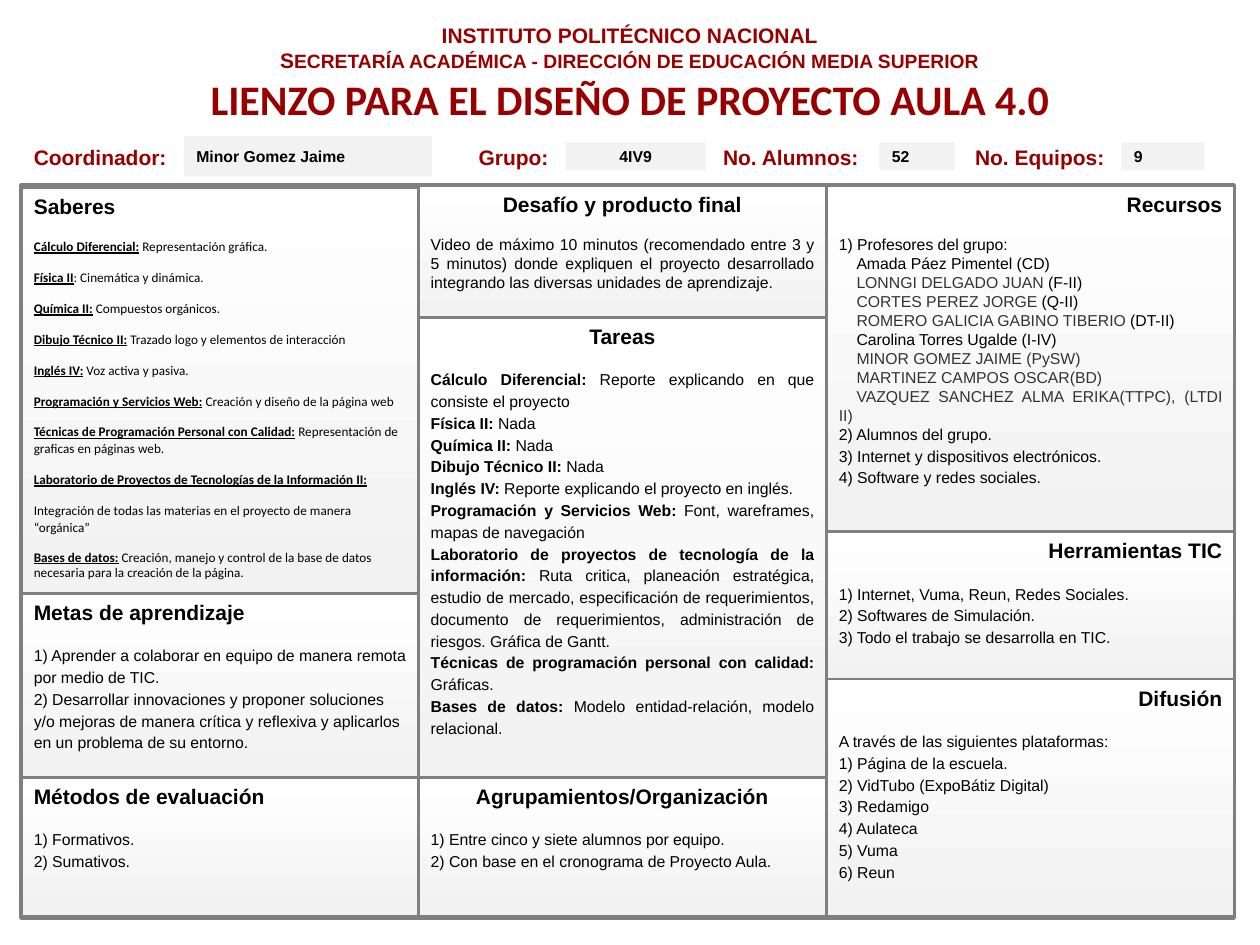
from dataclasses import dataclass
from itertools import pairwise

from pptx import Presentation
from pptx.dml.color import RGBColor
from pptx.enum import shapes, text
from pptx.util import Inches, Pt

LEFT, CENTER = text.PP_ALIGN.LEFT, text.PP_ALIGN.CENTER
RIGHT, JUSTIFY = text.PP_ALIGN.RIGHT, text.PP_ALIGN.JUSTIFY


@dataclass(frozen=True)
class Theme:
    """Colours, fonts and type sizes of the canvas."""
    red: RGBColor = RGBColor(0x98, 0x00, 0x00)
    ink: RGBColor = RGBColor(0x00, 0x00, 0x00)
    gray: RGBColor = RGBColor(0x33, 0x33, 0x33)
    line: RGBColor = RGBColor(0x7F, 0x7F, 0x7F)
    shade: RGBColor = RGBColor(0xF2, 0xF2, 0xF2)
    white: RGBColor = RGBColor(0xFF, 0xFF, 0xFF)
    sans: str = "Arial"
    narrow: str = "Calibri"
    title: float = 24
    head: float = 12
    sub: float = 11
    body: float = 9
    small: float = 7.5


@dataclass(frozen=True)
class Style:
    """Paragraph format of a list."""
    align: int = LEFT
    size: float = 9
    font: str = "Arial"
    line: float = 1.15
    after: float = 0
    indent: float = 0


T = Theme()
LIST = Style()
TASK = Style(JUSTIFY)
VIDEO = Style(JUSTIFY, line=1, after=12)
PLAIN = Style(JUSTIFY, line=1)
TEACHER = Style(JUSTIFY, line=1, indent=0.14)
TOPIC = Style(size=T.small, font=T.narrow, line=1.07, after=8)
LAST_TOPIC = Style(size=T.small, font=T.narrow, line=1)


def items(style, *lines):
    """Give each line, a string or a list of (words, look) runs, one style."""
    return [(style, [(ln, "")] if isinstance(ln, str) else ln) for ln in lines]


def labelled(style, look, *pairs):
    """Give lines that open with a stressed label."""
    return items(style, *([(label, look), (rest, "")] for label, rest in pairs))


SABERES = labelled(
    TOPIC, "bold underline",
    ("Cálculo Diferencial:", " Representación gráfica."),
    ("Física II", ": Cinemática y dinámica."),
    ("Química II:", " Compuestos orgánicos."),
    ("Dibujo Técnico II:", " Trazado logo y elementos de interacción"),
    ("Inglés IV:", " Voz activa y pasiva."),
    ("Programación y Servicios Web:", " Creación y diseño de la página web"),
    ("Técnicas de Programación Personal con Calidad:", " Representación de graficas en páginas web."),
    ("Laboratorio de Proyectos de Tecnologías de la Información II:", ""),
    ("", "Integración de todas las materias en el proyecto de manera “orgánica”"),
) + labelled(
    LAST_TOPIC, "bold underline",
    ("Bases de datos:", " Creación, manejo y control de la base de datos necesaria para la creación de la página."))

TAREAS = labelled(
    TASK, "bold",
    ("Cálculo Diferencial:", " Reporte explicando en que consiste el proyecto"),
    ("Física II:", " Nada"),
    ("Química II:", " Nada"),
    ("Dibujo Técnico II:", " Nada"),
    ("Inglés IV:", " Reporte explicando el proyecto en inglés."),
    ("Programación y Servicios Web:", " Font, wareframes, mapas de navegación"),
    ("Laboratorio de proyectos de tecnología de la información:",
     " Ruta critica, planeación estratégica, estudio de mercado, especificación de requerimientos, "
     "documento de requerimientos, administración de riesgos. Gráfica de Gantt."),
    ("Técnicas de programación personal con calidad:", " Gráficas."),
    ("Bases de datos:", " Modelo entidad-relación, modelo relacional."))

RECURSOS = (
    items(PLAIN, "1) Profesores del grupo:")
    + labelled(TEACHER, "gray",
               ("", "Amada Páez Pimentel (CD)"),
               ("LONNGI DELGADO JUAN ", "(F-II)"),
               ("CORTES PEREZ JORGE ", "(Q-II)"),
               ("ROMERO GALICIA GABINO TIBERIO ", "(DT-II)"),
               ("", "Carolina Torres Ugalde (I-IV)"),
               ("MINOR GOMEZ JAIME (PySW)", ""),
               ("MARTINEZ CAMPOS OSCAR(BD)", ""),
               ("VAZQUEZ SANCHEZ ALMA ERIKA(TTPC), (LTDI II)", ""))
    + items(PLAIN, "2) Alumnos del grupo.")
    + items(LIST, "3) Internet y dispositivos electrónicos.", "4) Software y redes sociales."))

COLUMNS = [
    (0.17, 3.16, LEFT, (1.49, 4.71, 6.17, 7.27), [
        ("Saberes", SABERES),
        ("Metas de aprendizaje", items(
            LIST, "1) Aprender a colaborar en equipo de manera remota por medio de TIC.",
            "2) Desarrollar innovaciones y proponer soluciones y/o mejoras de manera crítica "
            "y reflexiva y aplicarlos en un problema de su entorno.")),
        ("Métodos de evaluación", items(LIST, "1) Formativos.", "2) Sumativos."))]),
    (3.32, 3.24, CENTER, (1.47, 2.52, 6.17, 7.27), [
        ("Desafío y producto final", items(
            VIDEO, "Video de máximo 10 minutos (recomendado entre 3 y 5 minutos) donde expliquen "
            "el proyecto desarrollado integrando las diversas unidades de aprendizaje.")),
        ("Tareas", TAREAS),
        ("Agrupamientos/Organización", items(
            LIST, "1) Entre cinco y siete alumnos por equipo.",
            "2) Con base en el cronograma de Proyecto Aula."))]),
    (6.56, 3.24, RIGHT, (1.47, 4.22, 5.39, 7.27), [
        ("Recursos", RECURSOS),
        ("Herramientas TIC", items(
            LIST, "1) Internet, Vuma, Reun, Redes Sociales.", "2) Softwares de Simulación.",
            "3) Todo el trabajo se desarrolla en TIC.")),
        ("Difusión", items(
            LIST, "A través de las siguientes plataformas:", "1) Página de la escuela.",
            "2) VidTubo (ExpoBátiz Digital)", "3) Redamigo", "4) Aulateca", "5) Vuma", "6) Reun"))]),
]

FIELDS = [
    ("Coordinador:", (0.17, 1.27), "Minor Gomez Jaime", (1.46, 1.08, 1.97, 0.32), LEFT),
    ("Grupo:", (3.7, 0.8), "4IV9", (4.49, 1.13, 1.11, 0.22), CENTER),
    ("No. Alumnos:", (5.64, 1.33), "52", (6.98, 1.13, 0.6, 0.22), LEFT),
    ("No. Equipos:", (7.64, 1.28), "9", (8.9, 1.13, 0.66, 0.22), LEFT),
]


def set_font(font, size, color, bold=True, name=T.sans):
    """Set the size, colour, weight and family of a font."""
    font.size, font.bold, font.name = Pt(size), bold, name
    font.color.rgb = color


def add_box(s, kind, box):
    """Add a preset shape without shadow, fill or line."""
    sp = s.shapes.add_shape(kind, *map(Inches, box))
    sp.shadow.inherit = False
    sp.fill.background()
    sp.line.fill.background()
    return sp


def add_frame(s, box, width):
    """Add a square-cornered outlined panel."""
    sp = add_box(s, shapes.MSO_SHAPE.ROUNDED_RECTANGLE, box)
    sp.adjustments[0] = 0
    sp.line.color.rgb, sp.line.width = T.line, Pt(width)
    return sp


def write_line(tf, words, align, size, color, anchor, name=T.sans):
    """Write one bold line into a text frame."""
    tf.word_wrap, tf.vertical_anchor = True, anchor
    p = tf.paragraphs[0]
    p.text, p.alignment = words, align
    set_font(p.font, size, color, name=name)
    return p


def add_header(s, box):
    """Place the title and the institution lines in the box."""
    x, y, w, h = box
    top = text.MSO_ANCHOR.TOP
    title = s.shapes.title
    title.left, title.top, title.width, title.height = map(Inches, (x, y + 0.4, w, h - 0.4))
    title.text_frame.auto_size = text.MSO_AUTO_SIZE.NONE
    write_line(title.text_frame, "LIENZO PARA EL DISEÑO DE PROYECTO AULA 4.0",
               CENTER, T.title, T.red, top, T.narrow)
    tf = s.shapes.add_textbox(*map(Inches, (x, y, w, 0.5))).text_frame
    write_line(tf, "INSTITUTO POLITÉCNICO NACIONAL", CENTER, T.head, T.red, top)
    p = tf.add_paragraph()
    p.alignment = CENTER
    for words, size in (("S", T.head),
                        ("ECRETARÍA ACADÉMICA - DIRECCIÓN DE EDUCACIÓN MEDIA SUPERIOR", T.sub)):
        r = p.add_run()
        r.text = words
        set_font(r.font, size, T.red)


def add_field(s, label, span, value, box, align):
    """Place a red label and its shaded value box."""
    x, w = span
    tf = s.shapes.add_textbox(*map(Inches, (x, 1.1, w, 0.27))).text_frame
    write_line(tf, label, LEFT, T.head, T.red, text.MSO_ANCHOR.TOP)
    sp = add_box(s, shapes.MSO_SHAPE.RECTANGLE, box)
    sp.fill.solid()
    sp.fill.fore_color.rgb = T.shade
    write_line(sp.text_frame, value, align, T.body, T.ink, text.MSO_ANCHOR.MIDDLE)


def add_card(s, box, heading, align, lines):
    """Place a gradient panel with a heading and its list."""
    sp = add_frame(s, box, 1.5)
    sp.fill.gradient()
    sp.fill.gradient_angle = 90
    for stop, color in zip(sp.fill.gradient_stops, (T.shade, T.white)):
        stop.color.rgb = color
    tf = sp.text_frame
    p = write_line(tf, heading, align, T.head, T.ink, text.MSO_ANCHOR.TOP)
    p.space_after = Pt(10.5)
    for style, runs in lines:
        p = tf.add_paragraph()
        p.alignment, p.line_spacing, p.space_after = style.align, style.line, Pt(style.after)
        if style.indent:
            p._p.get_or_add_pPr().set("indent", str(Inches(style.indent)))
        set_font(p.font, style.size, T.ink, False, style.font)
        for words, look in filter(lambda run: run[0], runs):
            r = p.add_run()
            r.text = words
            set_font(r.font, style.size, T.gray if look == "gray" else T.ink, "bold" in look, style.font)
            r.font.underline = "underline" in look


def main():
    """Build the project canvas slide."""
    prs = Presentation()
    prs.slide_width, prs.slide_height = Inches(10), Inches(7.5)
    s = prs.slides.add_slide(prs.slide_layouts[5])
    add_header(s, (0, 0.13, 10, 0.9))
    add_frame(s, (0.17, 1.47, 9.62, 5.81), 3)
    for x, w, align, edges, cards in COLUMNS:
        for (top, bottom), (heading, lines) in zip(pairwise(edges), cards):
            add_card(s, (x, top, w, bottom - top), heading, align, lines)
    for field in FIELDS:
        add_field(s, *field)
    prs.save("out.pptx")


if __name__ == "__main__":
    main()
